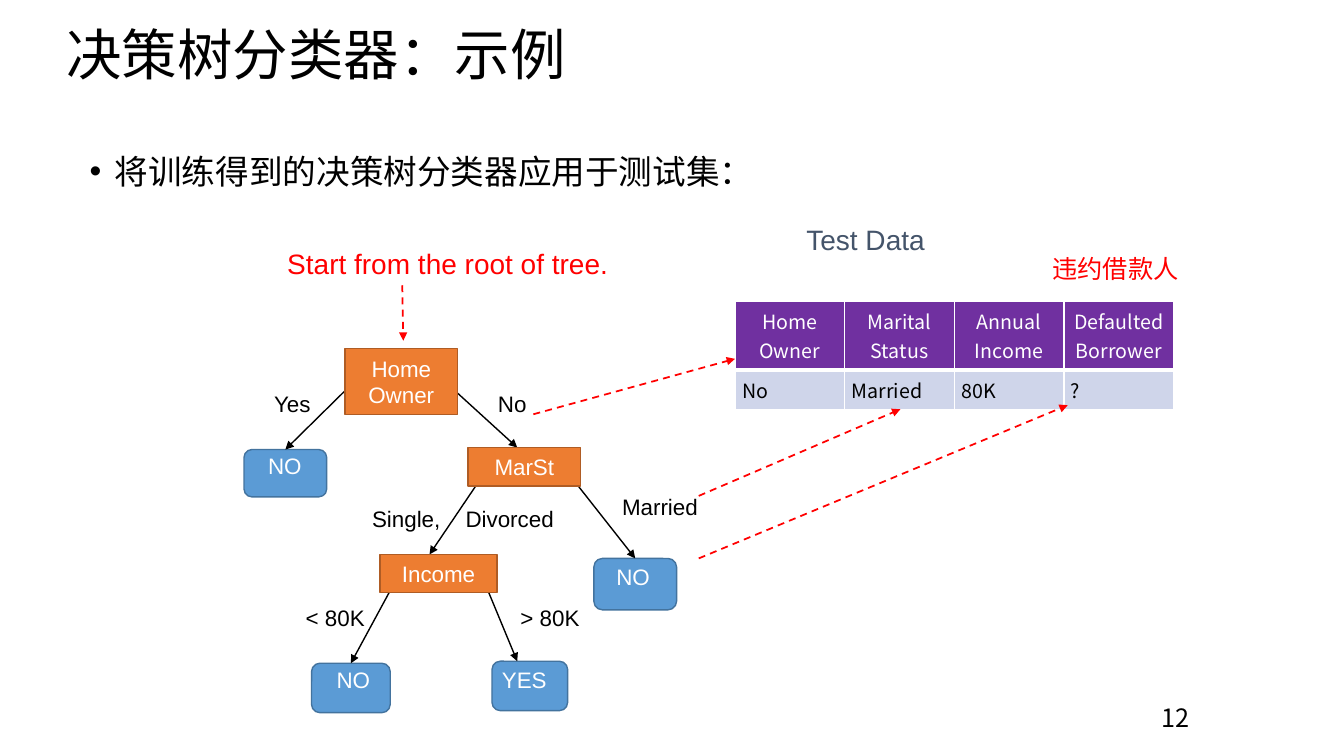
import dataclasses
import pptx
import pptx.dml.color
import pptx.enum.dml
import pptx.enum.shapes
import pptx.enum.text
import pptx.oxml
import pptx.oxml.ns
import pptx.util

PX = 9144
SHAPE = pptx.enum.shapes.MSO_SHAPE
ALIGN = pptx.enum.text.PP_ALIGN
ANCHOR = pptx.enum.text.MSO_ANCHOR


@dataclasses.dataclass(frozen=True)
class Theme:
    latin: str = "Arial"
    han: str = "Noto Sans CJK SC"
    black: str = "000000"
    white: str = "FFFFFF"
    red: str = "FF0000"
    slate: str = "44546A"
    node: str = "ED7D31"
    rim: str = "AF5C24"
    leaf: str = "5B9BD5"
    edge: str = "43739E"
    head: str = "7030A0"
    row: str = "CFD5EA"
    title: float = 39.6
    body: int = 24
    note: int = 20
    mark: int = 18
    label: int = 16
    cell: int = 14


THEME = Theme()


def px(*sizes):
    return [pptx.util.Emu(size * PX) for size in sizes]


def rgb(color):
    return pptx.dml.color.RGBColor.from_string(color)


def add_xml(parent, tag, **attrs):
    child = pptx.oxml.parse_xml(f"<a:{tag} {pptx.oxml.ns.nsdecls('a')}/>")
    for name, value in attrs.items():
        child.set(name, value)
    parent.append(child)
    return child


def style(frame, size, color, face, align):
    for para in frame.paragraphs:
        para.alignment = align
        font = para.font
        font.size = pptx.util.Pt(size)
        font.bold = False
        font.color.rgb = rgb(color)
        font.name = face
        add_xml(font._element, "ea", typeface=face)


def add_text(slide, text, box, size, color, face=THEME.latin,
             align=ALIGN.LEFT, wrap=True):
    frame = slide.shapes.add_textbox(*px(*box)).text_frame
    frame.word_wrap = wrap
    frame.text = text
    style(frame, size, color, face, align)
    return frame.paragraphs[0]


def add_label(slide, text, left, top, width, color=THEME.black):
    add_text(slide, text, (left, top, width, 37), THEME.label, color,
             align=ALIGN.CENTER, wrap=False)


def add_box(slide, kind, box, fill, line):
    shape = slide.shapes.add_shape(kind, *px(*box))
    shape.shadow.inherit = False
    shape.fill.solid()
    shape.fill.fore_color.rgb = rgb(fill)
    shape.line.color.rgb = rgb(line)
    shape.line.width = pptx.util.Pt(1)
    return shape


def add_node(slide, text, box):
    frame = add_box(slide, SHAPE.RECTANGLE, box, THEME.node, THEME.rim).text_frame
    frame.word_wrap = True
    frame.text = text
    style(frame, THEME.label, THEME.white, THEME.latin, ALIGN.CENTER)


def add_leaf(slide, text, box, left, top, width):
    leaf = add_box(slide, SHAPE.ROUNDED_RECTANGLE, box, THEME.leaf, THEME.edge)
    add_label(slide, text, left, top, width, THEME.white)
    return leaf


def add_arrow(slide, ends, color=THEME.black, width=1, dash=False):
    kind = pptx.enum.shapes.MSO_CONNECTOR.STRAIGHT
    arrow = slide.shapes.add_connector(kind, *px(*ends))
    arrow.line.color.rgb = rgb(color)
    arrow.line.width = pptx.util.Pt(width)
    if dash:
        arrow.line.dash_style = pptx.enum.dml.MSO_LINE.DASH
    add_xml(arrow.line._get_or_add_ln(), "tailEnd", type="triangle")
    add_xml(arrow._element.spPr, "effectLst")
    return arrow


def add_border(cell, side, points):
    width = str(pptx.util.Pt(points))
    line = add_xml(cell._tc.get_or_add_tcPr(), f"ln{side}", w=width)
    add_xml(add_xml(line, "solidFill"), "srgbClr", val=THEME.white)


def add_grid(slide, rows, box, heights):
    grid = slide.shapes.add_table(len(rows), len(rows[0]), *px(*box)).table
    grid.first_row = grid.horz_banding = False
    for r, (texts, height) in enumerate(zip(rows, heights)):
        head = r == 0
        thick = "B" if head else "T"
        ink, fill, align = (
            (THEME.white, THEME.head, ALIGN.CENTER) if head
            else (THEME.black, THEME.row, ALIGN.LEFT))
        grid.rows[r].height = px(height)[0]
        for c, text in enumerate(texts):
            cell = grid.cell(r, c)
            cell.text = text
            cell.vertical_anchor = ANCHOR.MIDDLE
            cell.margin_left = cell.margin_right = px(7)[0]
            cell.margin_top = cell.margin_bottom = 0
            style(cell.text_frame, THEME.cell, ink, THEME.han, align)
            for side in "LRTB":
                add_border(cell, side, 3 if side == thick else 1)
            cell.fill.solid()
            cell.fill.fore_color.rgb = rgb(fill)


def add_title(slide, text, box):
    title = slide.shapes.title
    title.left, title.top, title.width, title.height = px(*box)
    frame = title.text_frame
    frame.text = text
    frame.auto_size = pptx.enum.text.MSO_AUTO_SIZE.NONE
    frame.vertical_anchor = ANCHOR.MIDDLE
    style(frame, THEME.title, THEME.black, THEME.han, ALIGN.LEFT)
    frame.paragraphs[0].line_spacing = 0.9


def add_bullet(slide, text, box):
    para = add_text(slide, text, box, THEME.body, THEME.black, THEME.han)
    para.line_spacing = 1.5
    para.space_before = pptx.util.Pt(10)
    props = para._p.get_or_add_pPr()
    props.set("marL", str(25 * PX))
    props.set("indent", str(-25 * PX))
    face = add_xml(props, "buFont", typeface=THEME.latin)
    mark = add_xml(props, "buChar", char="•")
    for item in (face, mark):
        para.font._element.addprevious(item)


def add_tree(slide):
    low = add_leaf(slide, "NO", (309, 658, 78, 49), 324, 656, 53)
    add_leaf(slide, "YES", (488, 656, 75, 49), 479, 656, 82)
    owner = add_leaf(slide, "NO", (242, 446, 82, 47), 256, 444, 53)
    wed = add_leaf(slide, "NO", (589, 554, 82, 51), 601, 554, 54)
    for ends, leaf in [((348, 382, 280, 444), owner),
                       ((445, 382, 513, 444), None),
                       ((474, 479, 426, 550), None),
                       ((571, 479, 629, 550), wed),
                       ((387, 586, 348, 656), low),
                       ((484, 586, 513, 656), None)]:
        arrow = add_arrow(slide, ends)
        if leaf is not None:
            arrow.end_connect(leaf, 0)
    add_node(slide, "Home Owner", (342, 346, 112, 65))
    add_node(slide, "MarSt", (464, 444, 112, 38))
    add_node(slide, "Income", (377, 550, 116, 38))
    for label in [("Yes", 261, 382, 58), ("No", 484, 382, 48),
                  ("Married", 607, 484, 95), ("Single,", 353, 496, 100),
                  ("Divorced", 445, 496, 121), ("< 80K", 293, 594, 79),
                  ("> 80K", 506, 594, 79)]:
        add_label(slide, *label)


def main():
    deck = pptx.Presentation()
    deck.slide_width, deck.slide_height = px(1333, 750)
    slide = deck.slides.add_slide(deck.slide_layouts[5])
    add_title(slide, "决策树分类器：示例", (56, 28, 1207, 58))
    add_bullet(slide, "将训练得到的决策树分类器应用于测试集：", (79, 125, 1207, 88))
    add_tree(slide)
    for text, box, color, align in [
            ("Test Data", (771, 222, 175, 37), THEME.slate, ALIGN.CENTER),
            ("Start from the root of tree.", (275, 246, 375, 37),
             THEME.red, ALIGN.LEFT)]:
        para = add_text(slide, text, box, THEME.note, color, align=align)
        para.line_spacing = 0.8
    add_grid(slide, [["Home Owner", "Marital\nStatus", "Annual\nIncome",
                      "Defaulted Borrower"], ["No", "Married", "80K", "?"]],
             (729, 299, 435, 107), (68, 39))
    for ends in [(399, 283, 400, 338), (529, 411, 729, 356),
                 (693, 492, 893, 406), (693, 554, 1059, 402)]:
        add_arrow(slide, ends, THEME.red, 1.25, True)
    add_text(slide, "违约借款人", (1034, 246, 170, 40), THEME.mark,
             THEME.red, THEME.han)
    page = add_text(slide, "12", (1142, 695, 132, 40), THEME.mark,
                    THEME.black, THEME.han)
    page.line_spacing = 0.9
    deck.save("out.pptx")


if __name__ == "__main__":
    main()
